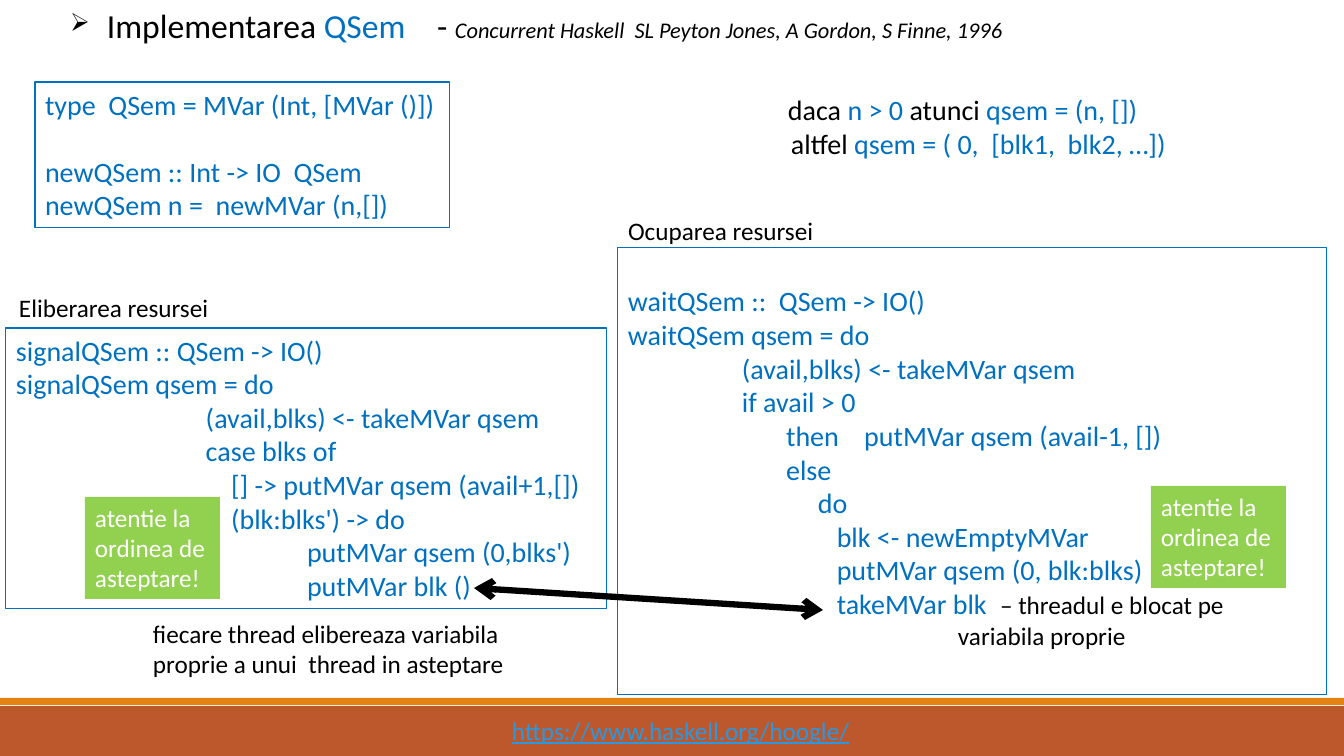
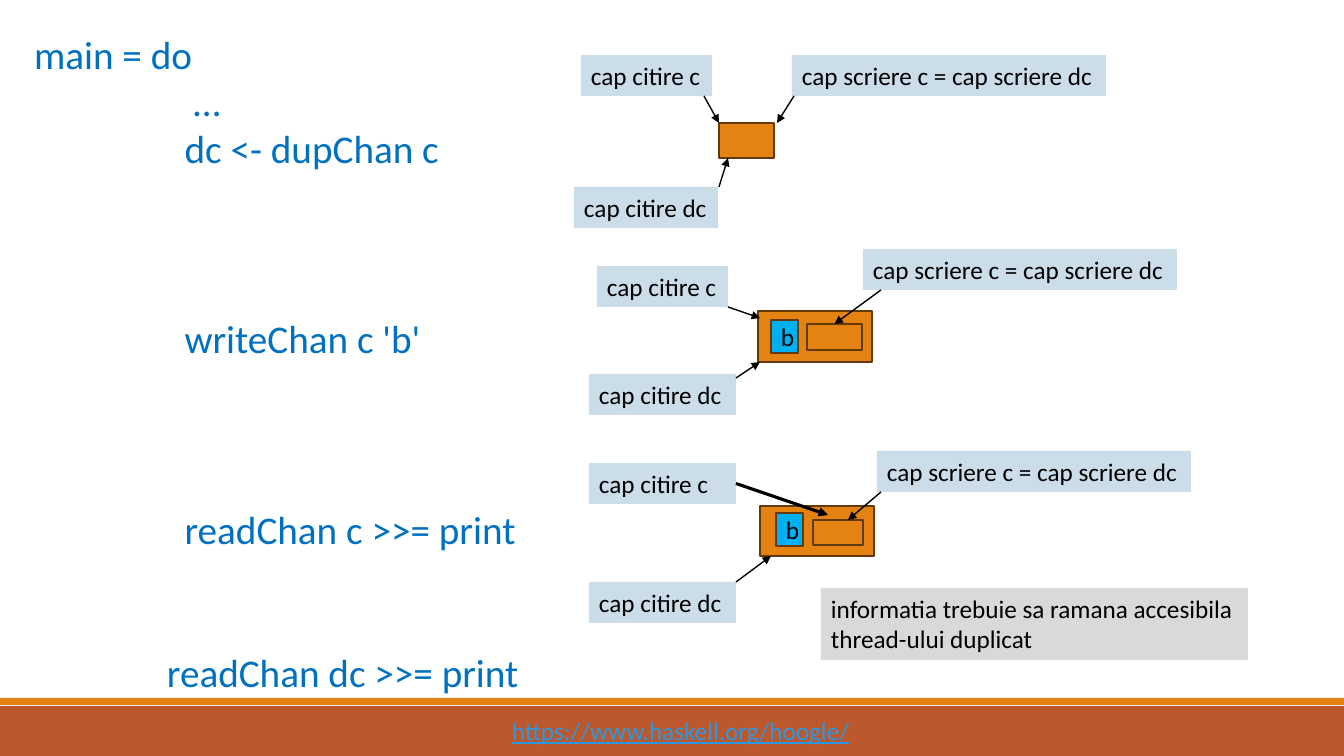
"""Builds two slides on Haskell semaphores and duplicated channels."""
from lxml import etree
from pptx import Presentation
from pptx.dml.color import RGBColor
from pptx.enum.shapes import MSO_CONNECTOR, MSO_SHAPE
from pptx.enum.text import MSO_ANCHOR, MSO_AUTO_SIZE, PP_ALIGN
from pptx.oxml.ns import qn
from pptx.util import Pt

RECTANGLE = MSO_SHAPE.RECTANGLE
STRAIGHT = MSO_CONNECTOR.STRAIGHT
TOP, MIDDLE = MSO_ANCHOR.TOP, MSO_ANCHOR.MIDDLE
LEFT = PP_ALIGN.LEFT
NO_FIT = MSO_AUTO_SIZE.NONE

PX = 914400 / 100.8
FONT = "Calibri"
COLORS = {
    "black": "000000", "white": "FFFFFF", "code": "0070C0",
    "band": "BD582C", "orange": "E48312", "brown": "643908",
    "link": "2998E3", "note": "92D050", "label": "CCDDEA",
    "cell": "00B0F0", "gray": "D9D9D9",
}


def add_box(page, bounds, text=(), holder=None, fill=None, line=None, weight=0.75,
            size=18, color="black", italic=False, underline=False, anchor=TOP, inset_top=5):
    """Add a box; each paragraph is a string or a list of (text, format) spans."""
    bounds = [round(value * PX) for value in bounds]
    if holder:
        box = holder
        box.left, box.top, box.width, box.height = bounds
    elif fill or line:
        box = page.shapes.add_shape(RECTANGLE, *bounds)
        box.shadow.inherit = False
    else:
        box = page.shapes.add_textbox(*bounds)
    if fill:
        box.fill.solid()
        box.fill.fore_color.rgb = RGBColor.from_string(COLORS[fill])
    else:
        box.fill.background()
    if line:
        box.line.color.rgb = RGBColor.from_string(COLORS[line])
        box.line.width = Pt(weight)
    else:
        box.line.fill.background()

    frame = box.text_frame
    frame.word_wrap = True
    frame.auto_size = NO_FIT
    frame.vertical_anchor = anchor
    frame.margin_left, frame.margin_right = round(10 * PX), 0
    frame.margin_top, frame.margin_bottom = round(inset_top * PX), round(5 * PX)
    for index, spans in enumerate(text):
        para = frame.add_paragraph() if index else frame.paragraphs[0]
        para.alignment = LEFT
        for words, changes in [(spans, {})] if isinstance(spans, str) else spans:
            style = {"size": size, "color": color, "italic": italic, **changes}
            span = para.add_run()
            span.text = words
            span.font.name = FONT
            span.font.size = Pt(style["size"])
            span.font.italic = style["italic"]
            span.font.underline = underline
            span.font.color.rgb = RGBColor.from_string(COLORS[style["color"]])
    return box


def add_arrow(page, start, end, weight=1, ends=("tailEnd",), kind="triangle"):
    """Add a straight black arrow."""
    points = [round(value * PX) for value in (*start, *end)]
    arrow = page.shapes.add_connector(STRAIGHT, *points)
    arrow.line.color.rgb = RGBColor.from_string(COLORS["black"])
    arrow.line.width = Pt(weight)
    properties = arrow._element.spPr
    outline = properties.find(qn("a:ln"))
    for end_name in ends:
        etree.SubElement(outline, qn(f"a:{end_name}"), type=kind)
    etree.SubElement(properties, qn("a:effectLst"))
    return arrow


deck = Presentation()
deck.slide_width, deck.slide_height = round(1344 * PX), round(756 * PX)
semaphore = deck.slides.add_slide(deck.slide_layouts[5])
channel = deck.slides.add_slide(deck.slide_layouts[6])

footer = [
    add_box(semaphore, (0, 706, 1344, 50), fill="band"),
    add_box(semaphore, (0, 698, 1344, 7), fill="orange"),
    add_box(semaphore, (502, 710, 362, 40), ["https://www.haskell.org/hoogle/"],
            color="link", underline=True),
]
for number, part in enumerate(footer, 100):
    part._element.nvSpPr.cNvPr.set("id", str(number))
    deck.slide_master.shapes.element.append(part._element)

code = {"color": "code"}
title = add_box(semaphore, (60, 0, 370, 60),
                [[("Implementarea ", {}), ("QSem", code)]],
                holder=semaphore.shapes.title, size=24)
title_properties = title.text_frame.paragraphs[0]._p.get_or_add_pPr()
title_properties.set("marL", str(round(37 * PX)))
title_properties.set("indent", str(round(-37 * PX)))
etree.SubElement(title_properties, qn("a:buSzPct"), val="75000")
etree.SubElement(title_properties, qn("a:buChar"), char="➢")
add_box(semaphore, (427, 0, 600, 60), [[
    ("- ", {"size": 24}),
    ("Concurrent Haskell  SL Peyton Jones, A Gordon, S Finne, 1996", {"italic": True}),
]], size=16)

code_box = {"line": "code", "size": 20, "color": "code"}
wait_box = add_box(semaphore, (618, 248, 709, 447), [
    "waitQSem ::  QSem -> IO()",
    "waitQSem qsem = do",
    "                  (avail,blks) <- takeMVar qsem",
    "                  if avail > 0",
    "                         then    putMVar qsem (avail-1, [])",
    "                         else",
    "                              do",
    "                                 blk <- newEmptyMVar",
    "                                 putMVar qsem (0, blk:blks)",
    [("                                 takeMVar blk  ", {}),
     ("– threadul e blocat pe", {"size": 18, "color": "black"})],
    [("variabila proprie", {"size": 18, "color": "black"})],
], inset_top=36, **code_box)
wait_box.text_frame.paragraphs[-1]._p.get_or_add_pPr().set("marL", str(round(330 * PX)))

add_box(semaphore, (6, 328, 601, 281), [
    "signalQSem :: QSem -> IO()",
    "signalQSem qsem = do",
    "                              (avail,blks) <- takeMVar qsem",
    "                              case blks of",
    "                                  [] -> putMVar qsem (avail+1,[])",
    "                                  (blk:blks') -> do",
    "                                              putMVar qsem (0,blks')",
    "                                              putMVar blk ()",
], **code_box)
type_box = add_box(semaphore, (35, 82, 415, 146), [
    "type  QSem = MVar (Int, [MVar ()])",
    "newQSem :: Int -> IO  QSem",
    "newQSem n =  newMVar (n,[])",
], **code_box)
type_box.text_frame.paragraphs[1].space_before = Pt(24)

add_arrow(semaphore, (474, 588), (823, 610), weight=4.5,
          ends=("headEnd", "tailEnd"), kind="arrow")
rule_box = add_box(semaphore, (778, 88, 440, 80), [
    [("daca ", {}), ("n > 0 ", code), ("atunci ", {}), ("qsem = (n, [])", code)],
    [("altfel ", {}), ("qsem = ( 0,  [blk1,  blk2, …])", code)],
], size=20)
rule_box.text_frame.paragraphs[1]._p.get_or_add_pPr().set("marL", str(round(3 * PX)))
add_box(semaphore, (143, 613, 393, 75),
        ["fiecare thread elibereaza variabila proprie a unui  thread in asteptare"])
add_box(semaphore, (618, 210, 208, 40), ["Ocuparea resursei"])
add_box(semaphore, (9, 287, 212, 40), ["Eliberarea resursei"])
for left, top in [(85, 497), (1151, 486)]:
    add_box(semaphore, (left, top, 135, 102), ["atentie la ordinea de asteptare!"],
            fill="note", color="white")

program = add_box(channel, (24, 25, 540, 672), [
    "main = do",
    "                  …",
    "                 dc <- dupChan c",
    "                 writeChan c 'b'",
    "                 readChan c >>= print",
    "               readChan dc >>= print",
], size=28, color="code")
for index, blank_lines in [(3, 3), (4, 3), (5, 2)]:
    program.text_frame.paragraphs[index].space_before = Pt(34.18 * blank_lines)

outlined = {"line": "brown", "weight": 1.25}
for bounds in [(719, 123, 55, 35), (758, 311, 114, 51), (760, 506, 114, 50)]:
    add_box(channel, bounds, fill="orange", **outlined)
for left, top in [(771, 320), (776, 513)]:
    add_box(channel, (left, top, 27, 33), ["b"], fill="cell", anchor=MIDDLE, **outlined)
written_slot, read_slot = [
    add_box(channel, bounds, fill="orange", **outlined)
    for bounds in [(807, 324, 55, 26), (813, 520, 50, 25)]
]

labels = [
    ("cap citire c", [(581, 55, 131), (597, 266, 131), (589, 463, 147)]),
    ("cap citire dc", [(574, 187, 144), (589, 374, 147), (589, 582, 147)]),
    ("cap scriere c = cap scriere dc", [(792, 55, 314), (863, 249, 314), (877, 451, 314)]),
]
label_boxes = {}
for words, places in labels:
    label_boxes[words] = [
        add_box(channel, (left, top, width, 41), [words], fill="label")
        for left, top, width in places
    ]
add_box(channel, (821, 588, 427, 72),
        ["informatia trebuie sa ramana accesibila", "thread-ului duplicat"], fill="gray")

for start, end in [
    ((704, 96), (719, 123)), ((794, 96), (777, 123)), ((719, 187), (728, 158)),
    ((728, 307), (760, 318)), ((736, 378), (760, 362)),
    ((881, 492), (848, 520)), ((736, 582), (771, 556)),
]:
    add_arrow(channel, start, end)
write_arrow = add_arrow(channel, (881, 290), (835, 324))
write_arrow.end_connect(written_slot, 0)
read_arrow = add_arrow(channel, (736, 484), (828, 515), weight=2.25)
read_arrow.begin_connect(label_boxes["cap citire c"][2], 3)

deck.save("out.pptx")
